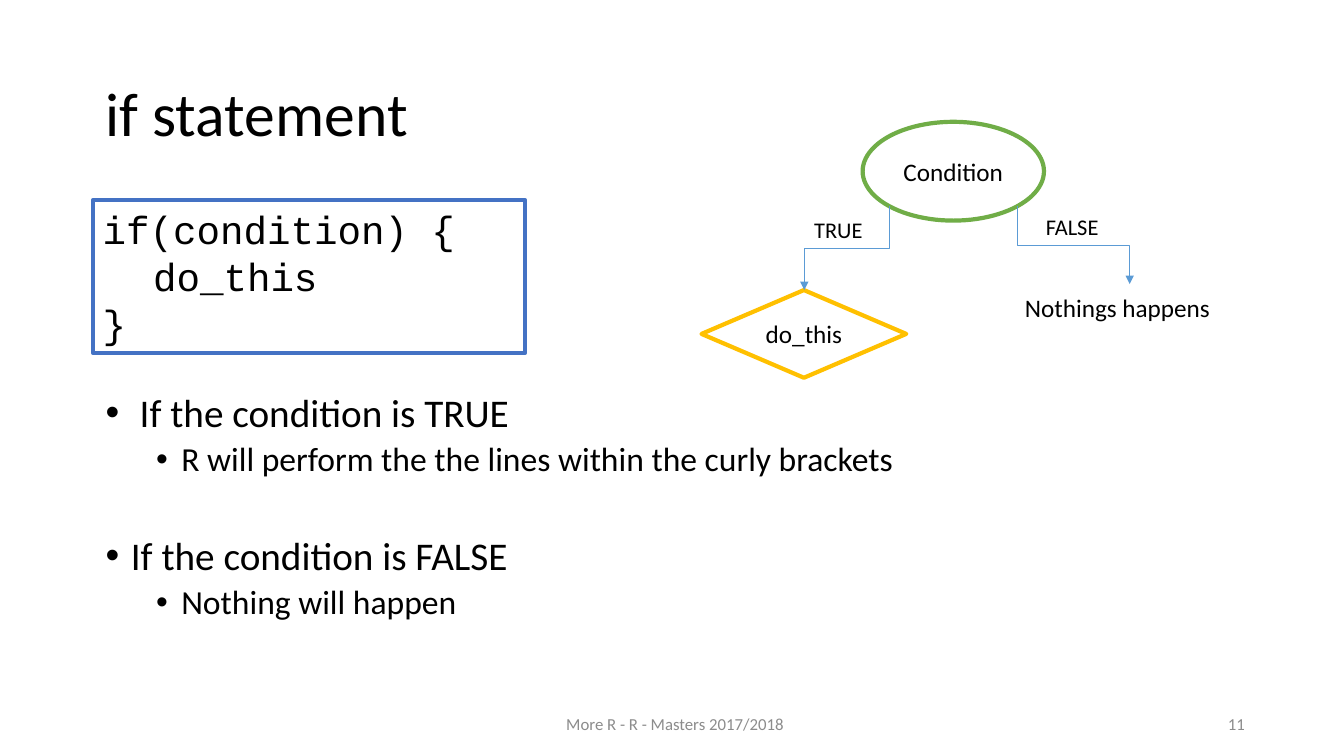
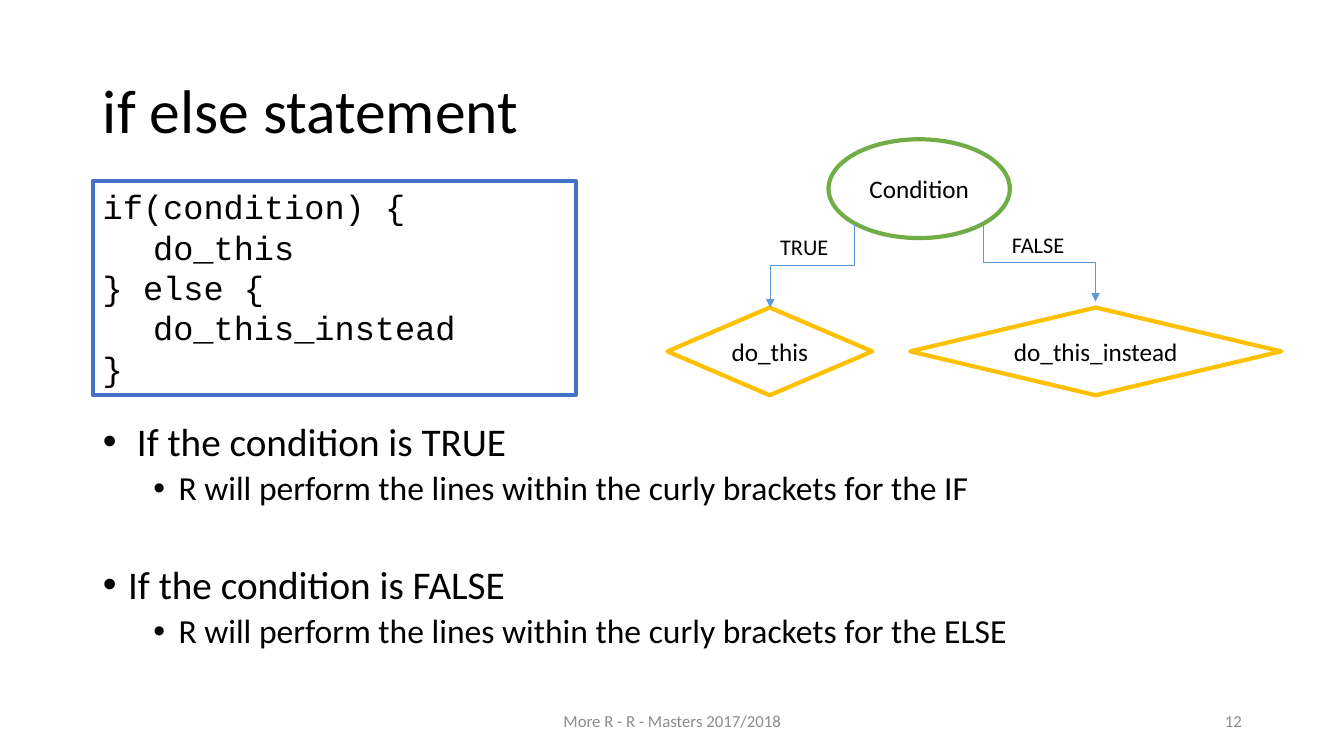
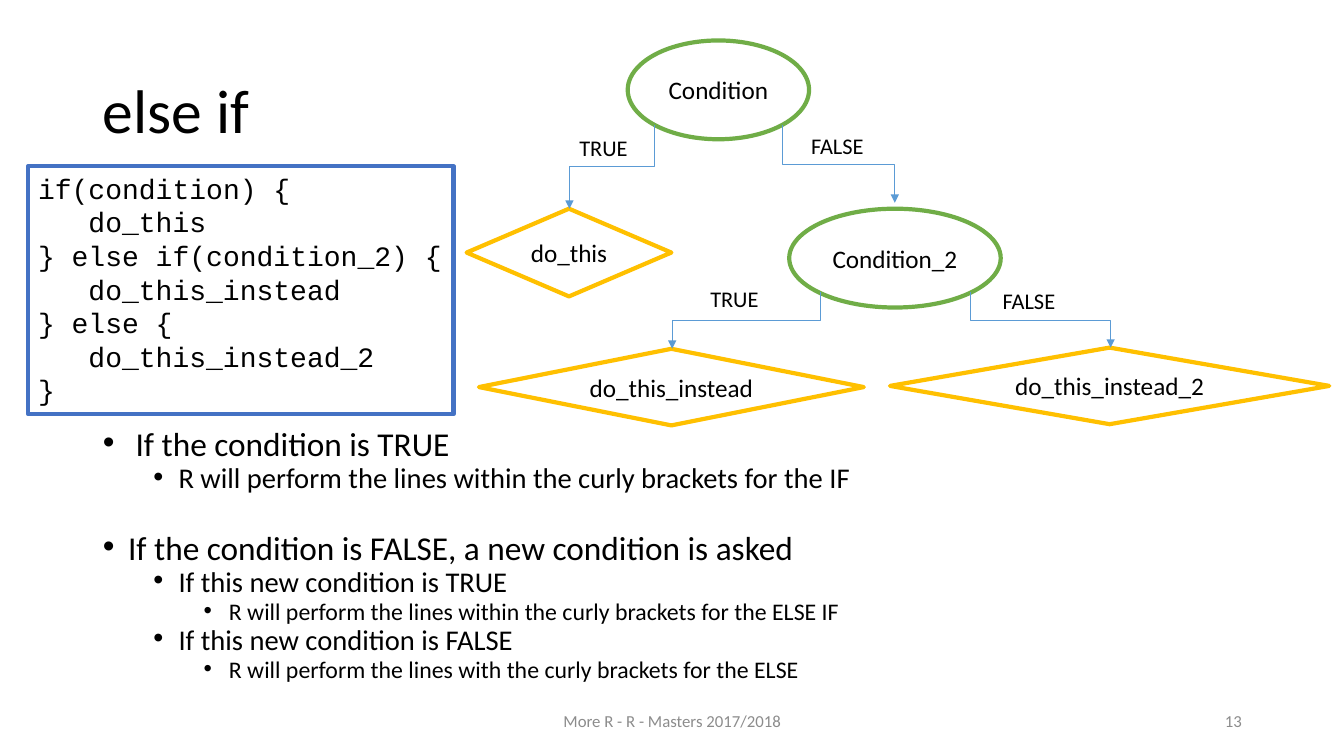
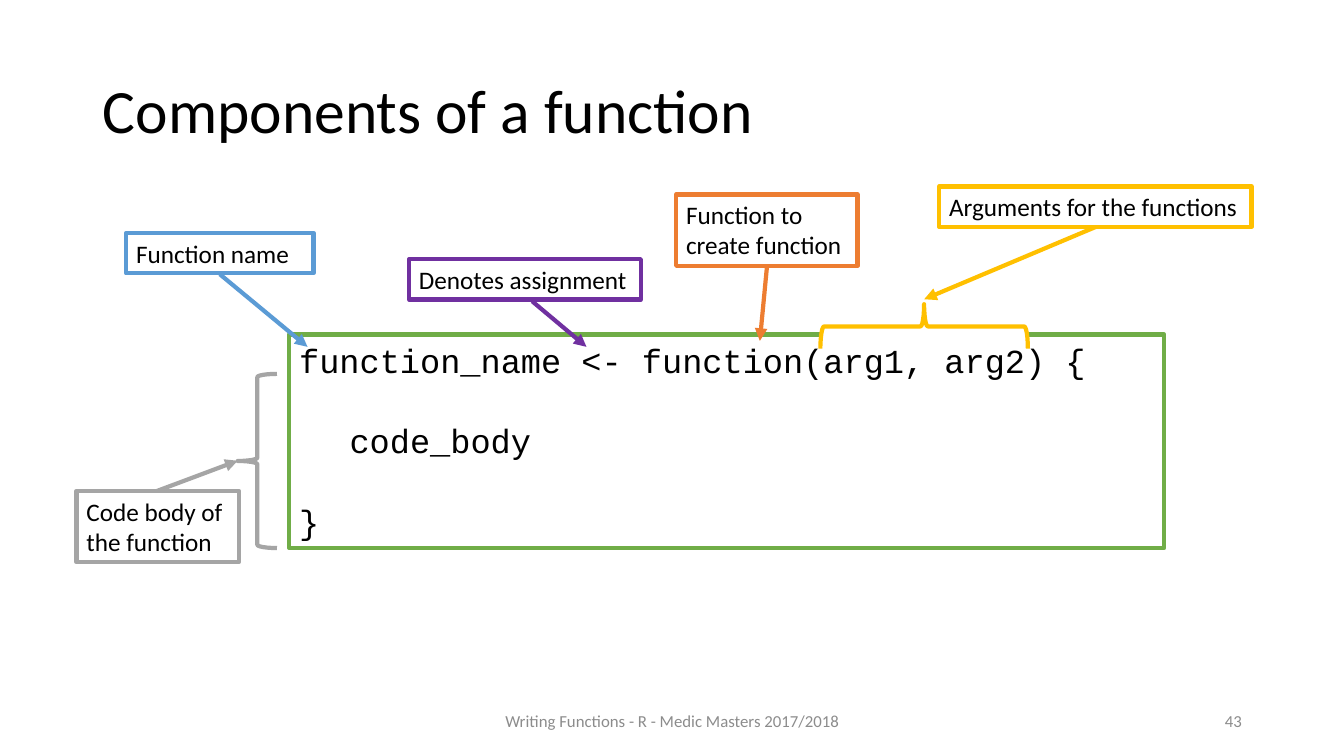
"""Build four slides on R conditionals and the components of a function."""
from lxml.etree import SubElement
from pptx import Presentation
from pptx.dml.color import RGBColor
from pptx.enum.shapes import MSO_CONNECTOR, MSO_SHAPE
from pptx.enum.text import MSO_ANCHOR, MSO_AUTO_SIZE, PP_ALIGN
from pptx.oxml.ns import qn
from pptx.util import Cm, Pt

BLACK, WHITE, GREY, SILVER = "000000", "FFFFFF", "8C8C8C", "A5A5A5"
NAVY, BLUE, GREEN = "4472C4", "5B9BD5", "70AD47"
GOLD, ORANGE, PURPLE = "FFC000", "ED7D31", "7030A0"
SANS, MONO = "Calibri", "Courier New"
OVAL, DIAMOND, RECT = MSO_SHAPE.OVAL, MSO_SHAPE.DIAMOND, MSO_SHAPE.RECTANGLE
NODE_HUES = {OVAL: GREEN, DIAMOND: GOLD}
COURSE = "More R - R - Masters 2017/2018"


def add_box(slide, preset, at, lines=(), hue=None, size=18, font=SANS, ink=BLACK,
            align=PP_ALIGN.LEFT, anchor=MSO_ANCHOR.TOP):
    """Add an outlined shape, or a plain text box when preset is None."""
    place = [Cm(length) for length in at]
    if preset is None:
        box = slide.shapes.add_textbox(*place)
    else:
        box = slide.shapes.add_shape(preset, *place)
        box.shadow.inherit = False
        box.fill.solid()
        box.fill.fore_color.rgb = RGBColor.from_string(WHITE)
        box.line.color.rgb = RGBColor.from_string(hue)
        box.line.width = Pt(3)
    frame = box.text_frame
    frame.word_wrap = True
    frame.vertical_anchor = anchor
    for index, line in enumerate(lines):
        paragraph = frame.paragraphs[0] if index == 0 else frame.add_paragraph()
        paragraph.alignment = align
        run = paragraph.add_run()
        run.text = line
        run.font.name = font
        run.font.size = Pt(size)
        run.font.color.rgb = RGBColor.from_string(ink)
    return box


def add_arrow(slide, start, end, hue, width, bent=False):
    """Add an arrow; a bent one leaves and arrives vertically."""
    (x1, y1), (x2, y2) = start, end
    if bent:
        mid_x, mid_y = (x1 + x2) / 2, (y1 + y2) / 2
        half_drop, half_span = (y2 - y1) / 2, abs(x2 - x1) / 2
        ends = (mid_x - half_drop, mid_y - half_span, mid_x + half_drop, mid_y + half_span)
    else:
        ends = (x1, y1, x2, y2)
    route = MSO_CONNECTOR.ELBOW if bent else MSO_CONNECTOR.STRAIGHT
    arrow = slide.shapes.add_connector(route, *[Cm(length) for length in ends])
    arrow.line.color.rgb = RGBColor.from_string(hue)
    arrow.line.width = Pt(width)
    properties = arrow.element.spPr
    if bent:
        frame = properties.find(qn("a:xfrm"))
        frame.set("rot", "5400000" if x2 < x1 else "16200000")
        if x2 > x1:
            frame.set("flipH", "1")
    SubElement(properties.find(qn("a:ln")), qn("a:tailEnd"), type="triangle")
    SubElement(properties, qn("a:effectLst"))


deck = Presentation()
deck.slide_width, deck.slide_height = Cm(33.87), Cm(19.05)

pages = [
    {"title": "if statement", "footer": COURSE, "number": "11", "shift": 0.07,
     "code": ["if(condition) {", "\tdo_this", "}"],
     "code_at": (2.34, 5.05, 10.9, 3.84), "code_size": 28,
     "list_top": 9.78, "list_height": 7.44, "sizes": (28, 24), "leading": 0.9, "gap": 41,
     "points": [(0, "\u00a0If the condition is TRUE"),
                (1, "R will perform the the lines within the curly brackets"),
                (0, "If the condition is FALSE"),
                (1, "Nothing will happen")],
     "origin": (21.74, 3.07),
     "nodes": [(None, "Nothings happens", (25.58, 7.24, 5.82, 1.02))],
     "branches": []},
    {"title": "if else statement", "footer": COURSE, "number": "12", "shift": 0,
     "code": ["if(condition) {", "\tdo_this", "} else {", "\tdo_this_instead", "}"],
     "code_at": (2.34, 4.57, 12.17, 5.38), "code_size": 24,
     "list_top": 10.52, "list_height": 6.65, "sizes": (28, 24), "leading": 0.9, "gap": 41,
     "points": [(0, "\u00a0If the condition is TRUE"),
                (1, "R will perform the lines within the curly brackets for the IF"),
                (0, "If the condition is FALSE"),
                (1, "R will perform the lines within the curly brackets for the ELSE")],
     "origin": (20.88, 3.51),
     "nodes": [(DIAMOND, "do_this_instead", (22.94, 7.75, 9.35, 2.21))],
     "branches": []},
    {"title": "else if", "footer": COURSE, "number": "13", "shift": 0,
     "code": ["if(condition) {", "\tdo_this", "} else if(condition_2) {",
              "\tdo_this_instead", "} else {", "\tdo_this_instead_2", "}"],
     "code_at": (0.71, 4.19, 10.72, 6.25), "code_size": 20,
     "list_top": 10.82, "list_height": 7.11, "sizes": (23.8, 20.4, 17), "leading": 0.7,
     "gap": 32,
     "points": [(0, "\u00a0If the condition is TRUE"),
                (1, "R will perform the lines within the curly brackets for the IF"),
                (0, "If the condition is FALSE, a new condition is asked"),
                (1, "If this new condition is TRUE"),
                (2, "R will perform the lines within the curly brackets for the ELSE IF"),
                (1, "If this new condition is FALSE"),
                (2, "R will perform the lines with the curly brackets for the ELSE")],
     "origin": (15.82, 1.02),
     "nodes": [(OVAL, "Condition_2", (19.89, 5.26, 5.33, 2.49)),
               (DIAMOND, "do_this_instead", (12.07, 8.79, 9.7, 1.93)),
               (DIAMOND, "do_this_instead_2", (22.43, 8.76, 11.07, 1.93))],
     "branches": [("TRUE", (17.65, 7.06), (20.68, 7.37), (16.94, 8.79)),
                  ("FALSE", (25.02, 7.11), (24.46, 7.37), (27.99, 8.76))]},
    {"title": "Components of a function", "number": "43", "shift": 0,
     "footer": "Writing Functions - R - Medic Masters 2017/2018"},
]

for page in pages:
    slide = deck.slides.add_slide(deck.slide_layouts[1 if "points" in page else 5])
    shift = page["shift"]

    heading = slide.shapes.title
    heading.left, heading.top = Cm(2.34 + shift), Cm(1.02 + shift)
    heading.width, heading.height = Cm(29.21), Cm(3.68)
    heading.text_frame.vertical_anchor = MSO_ANCHOR.MIDDLE
    heading.text_frame.auto_size = MSO_AUTO_SIZE.NONE
    paragraph = heading.text_frame.paragraphs[0]
    paragraph.alignment = PP_ALIGN.LEFT
    paragraph.line_spacing = 0.9
    run = paragraph.add_run()
    run.text = page["title"]
    run.font.name = SANS
    run.font.size = Pt(44)
    run.font.color.rgb = RGBColor.from_string(BLACK)

    for words, left, width, align in [(page["footer"], 11.23, 11.43, PP_ALIGN.CENTER),
                                      (page["number"], 23.93, 7.62, PP_ALIGN.RIGHT)]:
        add_box(slide, None, (left + shift, 17.65 + shift, width, 1.02), [words],
                size=12, ink=GREY, align=align, anchor=MSO_ANCHOR.MIDDLE)

    if "points" not in page:
        continue

    body = slide.placeholders[1]
    body.left, body.top = Cm(2.34 + shift), Cm(page["list_top"])
    body.width, body.height = Cm(29.21), Cm(page["list_height"])
    body.text_frame.auto_size = MSO_AUTO_SIZE.NONE
    for index, (level, words) in enumerate(page["points"]):
        paragraph = body.text_frame.paragraphs[0] if index == 0 else body.text_frame.add_paragraph()
        paragraph.level = level
        paragraph.line_spacing = page["leading"]
        paragraph.space_before = Pt(5 if level else page["gap"] if index else 10)
        properties = paragraph.font._element.getparent()
        properties.set("marL", str(Cm(0.635 + 1.27 * level)))
        properties.set("indent", str(-Cm(0.635)))
        default_run = properties.find(qn("a:defRPr"))
        properties.remove(default_run)
        SubElement(properties, qn("a:buFont"), typeface="Arial")
        SubElement(properties, qn("a:buChar"), char="\u2022")
        run = paragraph.add_run()
        run.text = words
        run.font.name = SANS
        run.font.size = Pt(page["sizes"][level])
        run.font.color.rgb = RGBColor.from_string(BLACK)

    add_box(slide, RECT, page["code_at"], page["code"], NAVY, page["code_size"], MONO)

    x, y = page["origin"]
    nodes = [(OVAL, "Condition", (x, y, 4.57, 2.49)),
             (DIAMOND, "do_this", (x - 4.06, y + 4.24, 5.16, 2.21))]
    branches = [("TRUE", (x - 1.47, y + 2.24), (x + 0.66, y + 2.13), (x - 1.47, y + 4.24)),
                ("FALSE", (x + 4.37, y + 2.18), (x + 3.89, y + 2.13), (x + 6.73, y + 4.09))]
    for preset, words, at in nodes + page["nodes"]:
        if preset is None:
            add_box(slide, None, at, [words])
        else:
            add_box(slide, preset, at, [words], NODE_HUES[preset],
                    align=PP_ALIGN.CENTER, anchor=MSO_ANCHOR.MIDDLE)
    for answer, answer_at, start, end in branches + page["branches"]:
        add_arrow(slide, start, end, BLUE, 0.5, bent=True)
        add_box(slide, None, (*answer_at, 2.8, 0.94), [answer], size=16)

definition = add_box(slide, RECT, (7.29, 8.43, 22.05, 5.38),
                     ["function_name <- function(arg1, arg2) {", "\tcode_body", "}"],
                     GREEN, 24, MONO)
for paragraph in definition.text_frame.paragraphs[1:]:
    paragraph.space_before = Pt(29)

for at, hue, turn in [((22.73, 5.61, 1.12, 5.23), GOLD, 270),
                      ((5.99, 9.42, 0.99, 4.39), SILVER, 180)]:
    brace = add_box(slide, MSO_SHAPE.RIGHT_BRACE, at, hue=hue)
    brace.rotation = turn

callouts = [
    ("Function name", (3.18, 5.87, 4.72, 1.02), BLUE, (5.54, 6.91), (7.75, 8.74)),
    ("Function to create function", (17.04, 4.9, 4.57, 1.8), ORANGE, (19.33, 6.71), (19.15, 8.59)),
    ("Arguments for the functions", (23.67, 4.7, 7.87, 1.02), GOLD, (27.61, 5.72), (23.29, 7.54)),
    ("Code body of the function", (1.93, 12.37, 4.09, 1.8), SILVER, (3.96, 12.37), (5.99, 11.61)),
    ("Denotes assignment", (10.31, 6.53, 5.84, 1.02), PURPLE, (13.41, 7.59), (14.78, 8.74)),
]
for words, at, hue, start, end in callouts:
    add_box(slide, RECT, at, [words], hue)
    add_arrow(slide, start, end, hue, 3)

deck.save("out.pptx")
